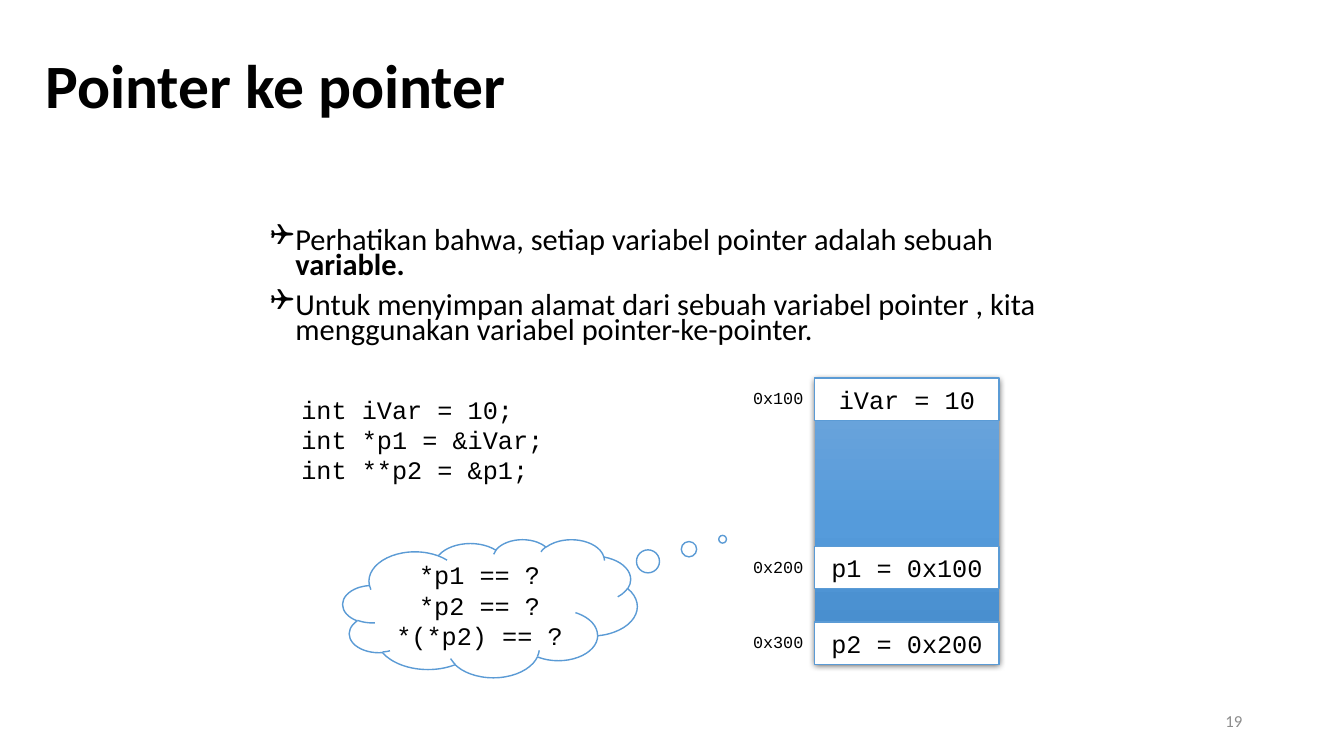
from lxml import etree
from pptx import Presentation
from pptx import util as u
from pptx.dml.color import RGBColor
from pptx.enum import shapes, text
from pptx.oxml import ns

LEFT, CENTER, RIGHT = text.PP_ALIGN.LEFT, text.PP_ALIGN.CENTER, text.PP_ALIGN.RIGHT
MIDDLE, TOP = text.MSO_ANCHOR.MIDDLE, text.MSO_ANCHOR.TOP
NO_FIT = text.MSO_AUTO_SIZE.NONE


def colour(code):
    return RGBColor.from_string(code)


def add_xml(parent, tag, **attributes):
    return etree.SubElement(parent, ns.qn(tag), attributes)


class SlideBuilder:
    """Holds the style and the current slide, and draws each kind of element."""

    BODY, CODE = "Calibri", "Courier New"
    INK, PAPER, BLUE, GREY = "000000", "FFFFFF", "5B9BD5", "8C8C8C"
    GRADIENT = [("0", "71A6DB"), ("50000", "559BDB"), ("100000", "448ACA")]

    def __init__(self, deck):
        self.slide = deck.slides.add_slide(deck.slide_layouts[1])

    def place(self, element, box):
        element.left, element.top, element.width, element.height = map(u.Inches, box)

    def style(self, frame, size, font, align=LEFT, bold=False, ink=INK):
        for paragraph in frame.paragraphs:
            paragraph.alignment = align
            for run in paragraph.runs:
                run.font.size = u.Pt(size)
                run.font.name = font
                run.font.bold = bold
                run.font.color.rgb = colour(ink)

    def title(self, words, box):
        heading = self.slide.shapes.title
        self.place(heading, box)
        frame = heading.text_frame
        frame.text = words
        frame.auto_size = NO_FIT
        frame.vertical_anchor = MIDDLE
        frame.paragraphs[0].line_spacing = 0.9
        self.style(frame, 44, self.BODY, bold=True)

    def bullets(self, points, box):
        body = self.slide.placeholders[1]
        self.place(body, box)
        frame = body.text_frame
        frame.text = "\n".join(points)
        frame.auto_size = NO_FIT
        frame.vertical_anchor = TOP
        for paragraph in frame.paragraphs:
            paragraph.line_spacing = 0.7
            paragraph.space_before = u.Pt(10)
            properties = paragraph._p.get_or_add_pPr()
            properties.set("marL", str(u.Inches(0.25)))
            properties.set("indent", str(u.Inches(-0.25)))
            add_xml(properties, "a:buFont", typeface="Wingdings")
            add_xml(properties, "a:buChar", char="❑")
        emphasis = frame.paragraphs[0].add_run()
        emphasis.text = "variable."
        self.style(frame, 21.7, self.BODY)
        emphasis.font.bold = True

    def label(self, words, box, size, font=CODE, align=LEFT, ink=INK, wrap=True, anchor=TOP):
        frame = self.slide.shapes.add_textbox(*map(u.Inches, box)).text_frame
        frame.word_wrap = wrap
        frame.vertical_anchor = anchor
        frame.text = words
        self.style(frame, size, font, align, ink=ink)

    def shape(self, kind, words, box):
        figure = self.slide.shapes.add_shape(kind, *map(u.Inches, box))
        figure.shadow.inherit = False
        figure.fill.solid()
        figure.fill.fore_color.rgb = colour(self.PAPER)
        figure.line.color.rgb = colour(self.BLUE)
        figure.line.width = u.Pt(1)
        frame = figure.text_frame
        frame.text = words
        frame.vertical_anchor = MIDDLE
        self.style(frame, 18, self.CODE, CENTER)
        return figure

    def memory(self, box):
        block = self.shape(shapes.MSO_SHAPE.RECTANGLE, "", box)
        block.line.fill.background()
        block.fill.gradient()
        block.fill.gradient_angle = 270
        properties = block._element.spPr
        stops = properties.find(".//" + ns.qn("a:gsLst"))
        for stop in list(stops):
            stops.remove(stop)
        for position, code in self.GRADIENT:
            add_xml(add_xml(stops, "a:gs", pos=position), "a:srgbClr", val=code)
        shadow = add_xml(properties.find(ns.qn("a:effectLst")), "a:outerShdw",
                         blurRad=str(u.Pt(4.5)), dist=str(u.Pt(1.5)),
                         dir="5400000", algn="ctr", rotWithShape="0")
        add_xml(add_xml(shadow, "a:srgbClr", val=self.INK), "a:alpha", val="63000")


def main():
    deck = Presentation()
    deck.slide_width, deck.slide_height = u.Inches(13.33), u.Inches(7.5)
    page = SlideBuilder(deck)

    page.title("Pointer ke pointer", (0.35, 0.15, 10.98, 1.45))
    page.bullets(
        ["Perhatikan bahwa, setiap variabel pointer adalah sebuah ",
         "Untuk menyimpan alamat dari sebuah variabel pointer , kita "
         "menggunakan variabel pointer-ke-pointer."],
        (2.58, 2.23, 8.17, 1.35))
    page.label("19", (9.42, 6.95, 3, 0.4), 12, page.BODY, RIGHT, page.GREY, anchor=MIDDLE)
    page.label("int iVar = 10;\nint *p1 = &iVar;\nint **p2 = &p1;",
               (2.89, 3.86, 3.42, 1.01), 18)

    page.memory((8.08, 3.75, 1.83, 2.83))
    cells = [("0x100", "iVar = 10", 3.75), ("0x200", "p1 = 0x100", 5.42),
             ("0x300", "p2 = 0x200", 6.17)]
    for address, content, top in cells:
        page.shape(shapes.MSO_SHAPE.RECTANGLE, content, (8.08, top, 1.83, 0.42))
        page.label(address, (7.37, top + 0.05, 0.71, 0.3), 12, wrap=False)

    question = page.shape(shapes.MSO_SHAPE.CLOUD_CALLOUT,
                          "*p1 == ?\n*p2 == ?\n*(*p2) == ? ", (3.4, 5.35, 2.92, 1.37))
    question.adjustments[0], question.adjustments[1] = 0.79, -0.5

    deck.save("out.pptx")


if __name__ == "__main__":
    main()
